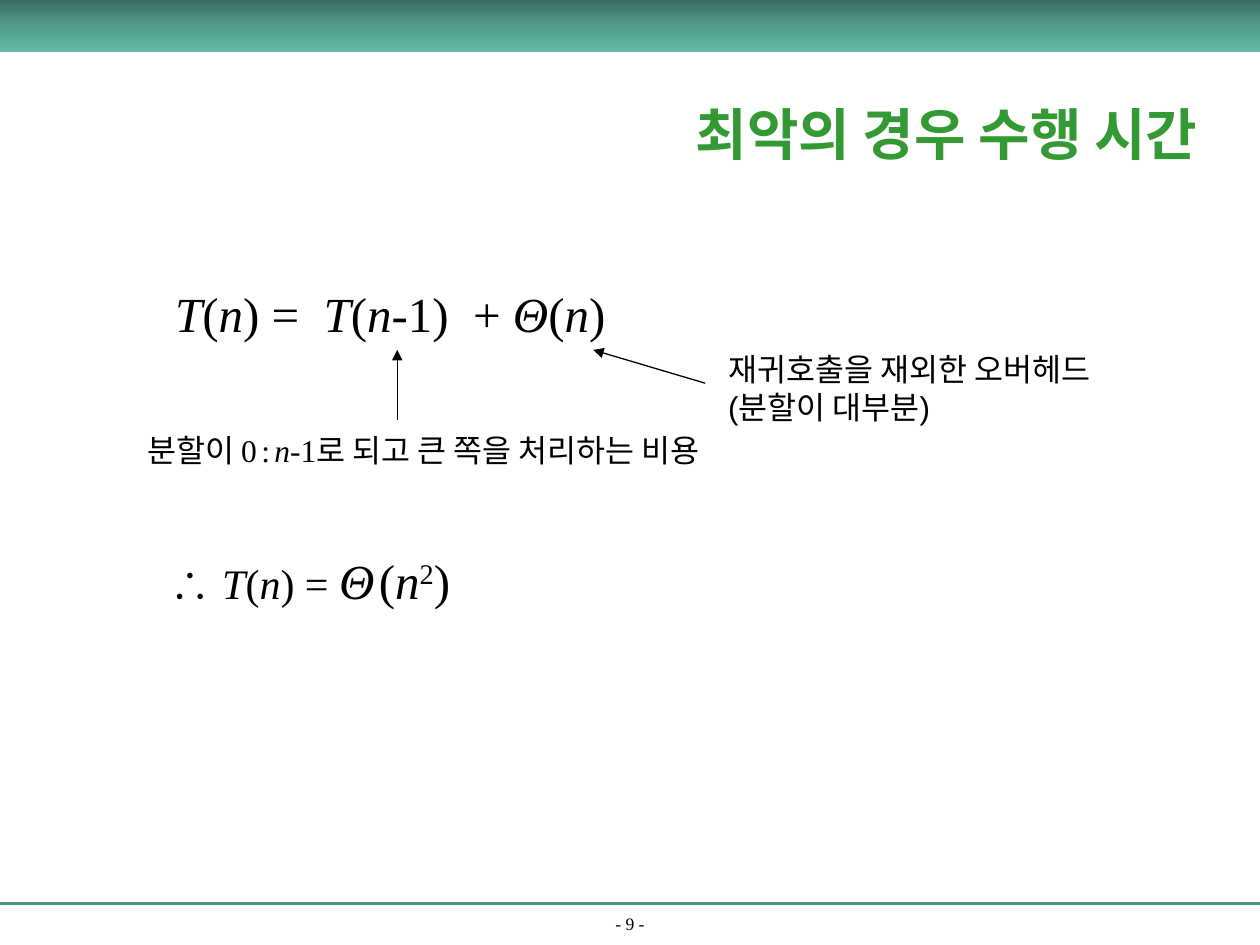
from dataclasses import dataclass

from lxml import etree
from pptx import Presentation
from pptx.dml.color import RGBColor
from pptx.enum import shapes, text
from pptx.oxml.ns import qn
from pptx.util import Pt


@dataclass(frozen=True)
class Theme:
    serif: str = "Times New Roman"
    sans: str = "Arial"
    ink: str = "000000"
    title: str = "339933"
    rule: str = "4C9282"
    band: tuple = ((0, "3A6D62"), (50, "539C8B"), (100, "62B9A5"))
    title_size: int = 32
    formula_size: int = 28
    result_size: int = 24
    note_size: int = 18
    small_size: int = 10


@dataclass(frozen=True)
class Run:
    words: str
    size: int
    font: str = Theme.serif
    color: str = Theme.ink
    bold: bool = False
    italic: bool = False
    raised: bool = False


class SlideBuilder:
    def __init__(self, slide, theme):
        self.slide = slide
        self.theme = theme

    def text_box(self, left, top, width, height, paragraphs, centered=False,
                 anchor=text.MSO_ANCHOR.TOP, fit=False):
        shape = self.slide.shapes.add_textbox(Pt(left), Pt(top), Pt(width), Pt(height))
        frame = shape.text_frame
        frame.word_wrap = not fit
        frame.vertical_anchor = anchor
        if fit:
            frame.auto_size = text.MSO_AUTO_SIZE.SHAPE_TO_FIT_TEXT
        for index, runs in enumerate(paragraphs):
            paragraph = frame.add_paragraph() if index else frame.paragraphs[0]
            paragraph.alignment = text.PP_ALIGN.CENTER if centered else text.PP_ALIGN.LEFT
            for item in runs:
                self.add_run(paragraph, item)

    def add_run(self, paragraph, item):
        run = paragraph.add_run()
        run.text = item.words
        font = run.font
        font.name, font.size = item.font, Pt(item.size)
        font.bold, font.italic = item.bold, item.italic
        font.color.rgb = RGBColor.from_string(item.color)
        if item.raised:
            run._r.get_or_add_rPr().set("baseline", "30000")

    def line(self, start, end, color, width, arrow=False):
        connector = self.slide.shapes.add_connector(
            shapes.MSO_CONNECTOR.STRAIGHT, *map(Pt, start + end))
        connector.line.color.rgb = RGBColor.from_string(color)
        connector.line.width = Pt(width)
        if arrow:
            outline = connector.line._get_or_add_ln()
            etree.SubElement(outline, qn("a:tailEnd"), type="triangle")
        etree.SubElement(connector._element.spPr, qn("a:effectLst"))

    def gradient_band(self, left, top, width, height, stops):
        shape = self.slide.shapes.add_shape(
            shapes.MSO_SHAPE.RECTANGLE, Pt(left), Pt(top), Pt(width), Pt(height))
        shape.shadow.inherit = False
        shape.line.fill.background()
        shape.fill.gradient()
        shape.fill.gradient_angle = 270
        stop_list = shape._element.spPr.find(".//" + qn("a:gsLst"))
        for stop in list(stop_list):
            stop_list.remove(stop)
        for percent, color in stops:
            stop = etree.SubElement(stop_list, qn("a:gs"), pos=str(percent * 1000))
            etree.SubElement(stop, qn("a:srgbClr"), val=color)


def math_runs(words, size):
    """Set variables in italics and all other signs upright."""
    return [Run(sign, size, italic=sign in "TnΘ") for sign in words]


def main():
    theme = Theme()
    presentation = Presentation()
    presentation.slide_width, presentation.slide_height = Pt(720), Pt(540)
    slide = presentation.slides.add_slide(presentation.slide_layouts[6])
    builder = SlideBuilder(slide, theme)
    thin_space = Run(" ", theme.small_size)

    # Frame: footer rule, page number and top band
    builder.line((0, 516.24), (720, 516.24), theme.rule, 1.5)
    builder.text_box(0, 521.3, 720, 15.8, [[Run("- 9 -", theme.small_size)]],
                     centered=True, anchor=text.MSO_ANCHOR.BOTTOM)
    builder.gradient_band(0, 0, 720, 30, theme.band)

    # Title
    builder.text_box(362, 38, 358, 76.5,
                     [[Run("최악의 경우 수행 시간", theme.title_size,
                           color=theme.title, bold=True)]],
                     centered=True, anchor=text.MSO_ANCHOR.MIDDLE)

    # Recurrence
    builder.text_box(93, 158.5, 263, 41,
                     [math_runs("T(n) =  T(n-1)  + Θ(n)", theme.formula_size)], fit=True)

    # Result
    result = [Run("∴ T", theme.result_size, italic=True),
              *math_runs("(n) = ", theme.result_size),
              *math_runs("Θ", theme.formula_size),
              thin_space,
              *math_runs("(n", theme.formula_size),
              Run("2", theme.formula_size, raised=True),
              Run(")", theme.formula_size)]
    builder.text_box(90, 311, 176.5, 41, [result], fit=True)

    # Note on the recursive term
    split_note = [Run("분할이 ", theme.note_size, theme.sans),
                  Run("0", theme.note_size), thin_space,
                  Run(":", theme.note_size), thin_space,
                  *math_runs("n-1", theme.note_size),
                  Run("로 되고 큰 쪽을 처리하는 비용", theme.note_size, theme.sans)]
    builder.text_box(77, 242.6, 358, 29, [split_note], fit=True)
    builder.line((227, 240), (227, 200), theme.ink, 0.75, arrow=True)

    # Note on the overhead term
    overhead_lines = ("재귀호출을 재외한 오버헤드", "(분할이 대부분)")
    builder.text_box(409, 196.5, 242.5, 51,
                     [[Run(words, theme.note_size, theme.sans)] for words in overhead_lines],
                     fit=True)
    builder.line((403, 219), (339, 200), theme.ink, 0.75, arrow=True)

    presentation.save("out.pptx")


if __name__ == "__main__":
    main()
